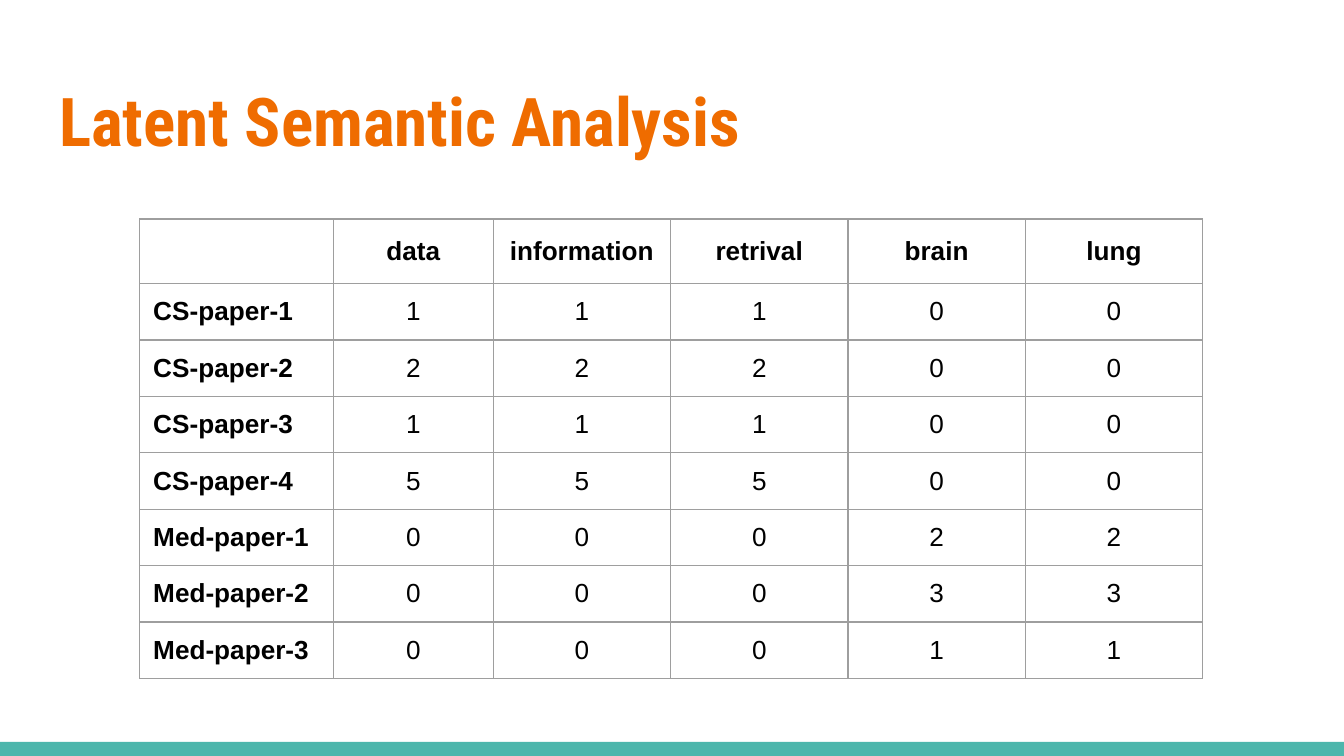
from dataclasses import dataclass

from lxml import etree
from pptx import Presentation
from pptx.dml import color
from pptx.enum import shapes, text
from pptx.oxml import ns
from pptx.util import Inches, Pt

ORANGE, TEAL, GRAY, BLACK, WHITE = "EF6C00", "4DB6AC", "9E9E9E", "000000", "FFFFFF"
SLIDE_WIDTH, SLIDE_HEIGHT = Inches(10), Inches(10 * 9 / 16)
MARGIN = Inches(0.1)
ROW_HEIGHT = Inches(0.42)
COLUMN_WIDTHS = [1.44, 1.19] + [1.32] * 4
TERMS = ["data", "information", "retrival", "brain", "lung"]


@dataclass
class Paper:
    name: str
    computing_count: int
    medical_count: int

    def counts(self) -> list[str]:
        """Three computing terms come first, then two medical terms."""
        return [str(self.computing_count)] * 3 + [str(self.medical_count)] * 2


PAPERS = [
    Paper("CS-paper-1", 1, 0),
    Paper("CS-paper-2", 2, 0),
    Paper("CS-paper-3", 1, 0),
    Paper("CS-paper-4", 5, 0),
    Paper("Med-paper-1", 0, 2),
    Paper("Med-paper-2", 0, 3),
    Paper("Med-paper-3", 0, 1),
]


def rgb(value: str) -> color.RGBColor:
    return color.RGBColor.from_string(value)


def write_text(frame, content: str, *, size: float, font: str, fill: str,
               bold: bool = False, align=text.PP_ALIGN.LEFT) -> None:
    paragraph = frame.paragraphs[0]
    paragraph.alignment = align
    run = paragraph.add_run()
    run.text = content
    run.font.size = Pt(size)
    run.font.name = font
    run.font.bold = bold
    run.font.color.rgb = rgb(fill)


def format_empty(cell) -> None:
    """Give a cell without text the font that sets its line height."""
    paragraph = cell.text_frame.paragraphs[0]
    end = etree.SubElement(paragraph._p, ns.qn("a:endParaRPr"), sz="1800")
    etree.SubElement(end, ns.qn("a:latin"), typeface="Arial")


def set_margins(target) -> None:
    target.margin_left = target.margin_right = MARGIN
    target.margin_top = target.margin_bottom = MARGIN


def add_borders(cell) -> None:
    properties = cell._tc.get_or_add_tcPr()
    for position, side in enumerate(("lnL", "lnR", "lnT", "lnB")):
        line = etree.Element(ns.qn(f"a:{side}"), w=str(int(Pt(0.75))))
        solid = etree.SubElement(line, ns.qn("a:solidFill"))
        etree.SubElement(solid, ns.qn("a:srgbClr"), val=GRAY)
        properties.insert(position, line)


def add_title(slide, content: str) -> None:
    title = slide.shapes.title
    title.left, title.top = Inches(0.34), Inches(0.49)
    title.width, title.height = Inches(9.32), Inches(0.77)
    frame = title.text_frame
    frame.word_wrap = True
    frame.auto_size = text.MSO_AUTO_SIZE.NONE
    frame.vertical_anchor = text.MSO_ANCHOR.TOP
    set_margins(frame)
    write_text(frame, content, size=36, font="Roboto Condensed", fill=ORANGE, bold=True)


def add_footer_bar(slide) -> None:
    top = Inches(5.52)
    bar = slide.shapes.add_shape(shapes.MSO_SHAPE.RECTANGLE, 0, top,
                                 SLIDE_WIDTH, SLIDE_HEIGHT - top)
    bar.shadow.inherit = False
    bar.fill.solid()
    bar.fill.fore_color.rgb = rgb(TEAL)
    bar.line.fill.background()


def add_count_table(slide, rows: list[list[str]]) -> None:
    table = slide.shapes.add_table(
        len(rows), len(COLUMN_WIDTHS), Inches(1.04), Inches(1.63),
        Inches(sum(COLUMN_WIDTHS)), ROW_HEIGHT * len(rows)).table
    table.first_row = table.horz_banding = False
    for column, width in zip(table.columns, COLUMN_WIDTHS):
        column.width = Inches(width)
    for row_index, values in enumerate(rows):
        table.rows[row_index].height = ROW_HEIGHT
        for column_index, value in enumerate(values):
            cell = table.cell(row_index, column_index)
            is_label = column_index == 0
            set_margins(cell)
            cell.vertical_anchor = text.MSO_ANCHOR.TOP if is_label else text.MSO_ANCHOR.MIDDLE
            cell.fill.background()
            add_borders(cell)
            if value:
                write_text(cell.text_frame, value, size=14, font="Arial", fill=BLACK,
                           bold=is_label or row_index == 0,
                           align=text.PP_ALIGN.LEFT if is_label else text.PP_ALIGN.CENTER)
            else:
                format_empty(cell)


def main() -> None:
    presentation = Presentation()
    presentation.slide_width, presentation.slide_height = SLIDE_WIDTH, SLIDE_HEIGHT
    slide = presentation.slides.add_slide(presentation.slide_layouts.get_by_name("Title Only"))
    slide.background.fill.solid()
    slide.background.fill.fore_color.rgb = rgb(WHITE)
    add_footer_bar(slide)
    add_title(slide, "Latent Semantic Analysis")
    add_count_table(slide, [["", *TERMS]] + [[paper.name, *paper.counts()] for paper in PAPERS])
    presentation.save("out.pptx")


if __name__ == "__main__":
    main()
